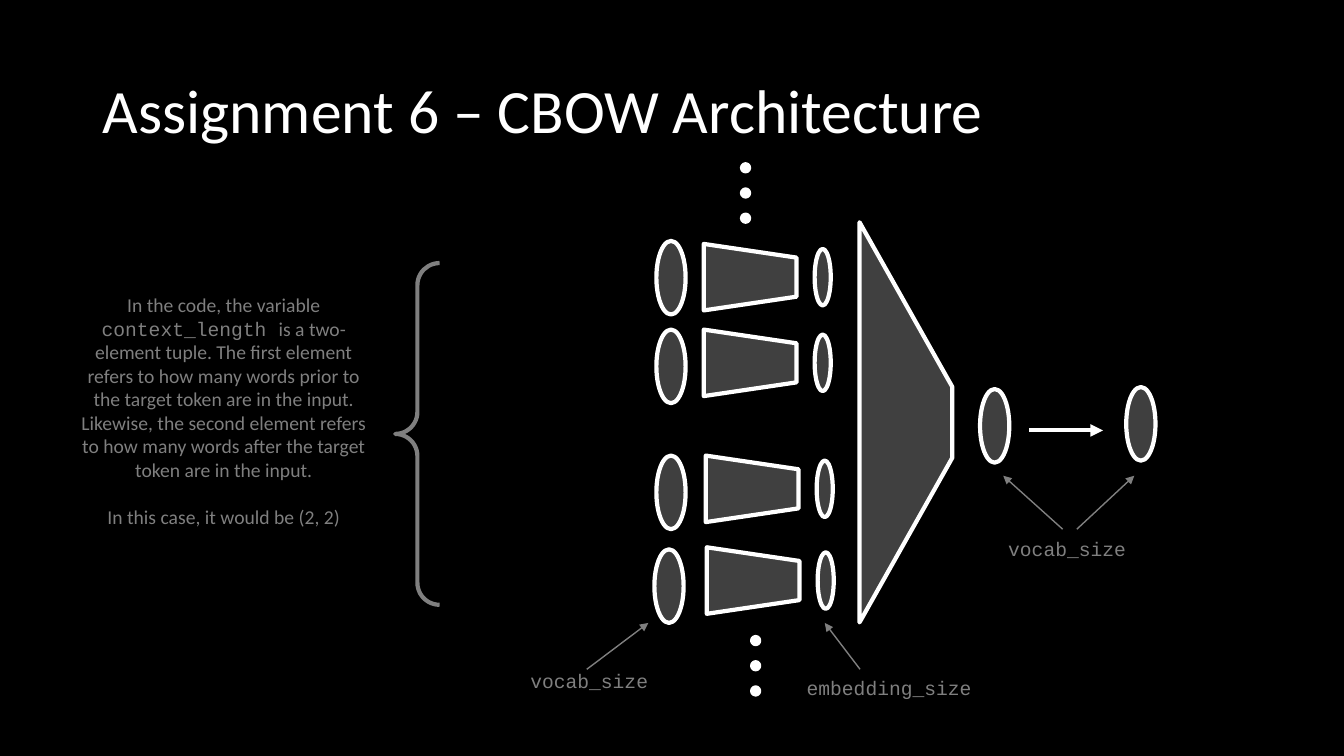
from dataclasses import dataclass

from lxml import etree
from pptx import Presentation
from pptx.dml.color import RGBColor
from pptx.enum.shapes import MSO_CONNECTOR, MSO_SHAPE
from pptx.enum.text import MSO_ANCHOR, MSO_AUTO_SIZE, PP_ALIGN
from pptx.oxml.ns import qn
from pptx.shapes.autoshape import Shape
from pptx.util import Pt

OVAL = MSO_SHAPE.OVAL
FUNNEL = MSO_SHAPE.TRAPEZOID
BRACE = MSO_SHAPE.LEFT_BRACE
STRAIGHT = MSO_CONNECTOR.STRAIGHT
CENTER = PP_ALIGN.CENTER
LEFT = PP_ALIGN.LEFT
MIDDLE = MSO_ANCHOR.MIDDLE
TOP = MSO_ANCHOR.TOP
GROW = MSO_AUTO_SIZE.SHAPE_TO_FIT_TEXT
FIXED = MSO_AUTO_SIZE.NONE

SCALE = 9144
SANS = "Calibri"
MONO = "Courier New"
COLORS = {"back": "000000", "white": "FFFFFF", "gray": "7F7F7F", "dark": "404040"}


@dataclass(frozen=True)
class Box:
    x: int
    y: int
    w: int
    h: int


@dataclass(frozen=True)
class Arrow:
    x1: int
    y1: int
    x2: int
    y2: int
    color: str = "gray"
    width: int = 1


@dataclass(frozen=True)
class Label:
    box: Box
    text: str


@dataclass(frozen=True)
class Row:
    word_x: int
    word_y: int
    mat_x: int
    mat_y: int


@dataclass(frozen=True)
class Part:
    text: str
    font: str = SANS


ROWS = [
    Row(651, 239, 711, 229),
    Row(651, 327, 711, 314),
    Row(651, 452, 713, 439),
    Row(649, 545, 714, 530),
]
ARROWS = [
    Arrow(582, 664, 643, 618),
    Arrow(853, 664, 818, 618),
    Arrow(1068, 525, 1125, 472),
    Arrow(1054, 525, 995, 472),
    Arrow(1021, 427, 1094, 427, "white", 3),
]
LABELS = [
    Label(Box(506, 659, 157, 34), "vocab_size"),
    Label(Box(790, 666, 184, 34), "embedding_size"),
    Label(Box(980, 528, 157, 34), "vocab_size"),
]
NOTE = [
    [
        Part("In the code, the variable "),
        Part("context_length ", MONO),
        Part(
            "is a two-element tuple. The first element refers to how many words "
            "prior to the target token are in the input. Likewise, the second "
            "element refers to how many words after the target token are in the input."
        ),
    ],
    [Part("In this case, it would be (2, 2)")],
]

deck = Presentation()
deck.slide_width = 1333 * SCALE
deck.slide_height = 750 * SCALE
slide = deck.slides.add_slide(deck.slide_layouts[6])


def tint(name: str) -> RGBColor:
    return RGBColor.from_string(COLORS[name])


def place(box: Box) -> list[int]:
    return [side * SCALE for side in (box.x, box.y, box.w, box.h)]


def add_form(kind: int, box: Box, fill: str = "", line: str = "white") -> Shape:
    form = slide.shapes.add_shape(kind, *place(box))
    form.shadow.inherit = False
    if fill:
        form.fill.solid()
        form.fill.fore_color.rgb = tint(fill)
    else:
        form.fill.background()
    form.line.color.rgb = tint(line)
    form.line.width = Pt(3)
    return form


def add_oval(x: int, y: int, w: int = 29, h: int = 73) -> None:
    oval = add_form(OVAL, Box(x, y, w, h), "gray")
    color = oval._element.spPr.find(qn("a:solidFill"))[0]
    etree.SubElement(color, qn("a:alpha"), val="50000")


def add_funnel(box: Box, slope: float) -> None:
    funnel = add_form(FUNNEL, box, "dark")
    funnel.rotation = 90
    funnel.adjustments[0] = slope


def add_dots(x: int, y: int) -> None:
    for step in range(3):
        add_form(OVAL, Box(x, y + 25 * step, 7, 7), "white")


def add_arrow(arrow: Arrow) -> None:
    ends = [end * SCALE for end in (arrow.x1, arrow.y1, arrow.x2, arrow.y2)]
    link = slide.shapes.add_connector(STRAIGHT, *ends)
    link.line.color.rgb = tint(arrow.color)
    link.line.width = Pt(arrow.width)
    etree.SubElement(link.line._get_or_add_ln(), qn("a:tailEnd"), type="triangle")
    etree.SubElement(link._element.spPr, qn("a:effectLst"))


def add_text(
    box: Box,
    paras: list[list[Part]],
    size: int = 14,
    color: str = "gray",
    align: int = CENTER,
    anchor: int = TOP,
    fit: int = GROW,
    lead: float = 1.0,
) -> None:
    frame = slide.shapes.add_textbox(*place(box)).text_frame
    frame.word_wrap = True
    frame.auto_size = fit
    frame.vertical_anchor = anchor
    for index, parts in enumerate(paras):
        para = frame.add_paragraph() if index else frame.paragraphs[0]
        para.alignment = align
        para.line_spacing = lead
        if index:
            para.space_before = Pt(17)
        for part in parts:
            run = para.add_run()
            run.text = part.text
            run.font.name = part.font
            run.font.size = Pt(size)
            run.font.color.rgb = tint(color)


def main() -> None:
    slide.background.fill.solid()
    slide.background.fill.fore_color.rgb = tint("back")
    title = [[Part("Assignment 6 – CBOW Architecture")]]
    add_text(Box(92, 40, 1150, 145), title, 44, "white", LEFT, MIDDLE, FIXED, 0.9)
    brace = add_form(BRACE, Box(392, 261, 44, 339), line="gray")
    brace.adjustments[0] = 0.496
    add_text(Box(64, 286, 316, 246), NOTE)
    for label in LABELS:
        add_text(label.box, [[Part(label.text, MONO)]])
    for arrow in ARROWS:
        add_arrow(arrow)
    add_dots(736, 163)
    add_dots(746, 632)
    add_funnel(Box(700, 373, 397, 92), 1.775)
    for row in ROWS:
        add_oval(row.word_x, row.word_y)
        add_funnel(Box(row.mat_x, row.mat_y, 66, 92), 0.206)
        add_oval(row.mat_x + 97, row.mat_y + 18, 16, 56)
    add_oval(972, 386)
    add_oval(1117, 384)
    deck.save("out.pptx")


if __name__ == "__main__":
    main()
